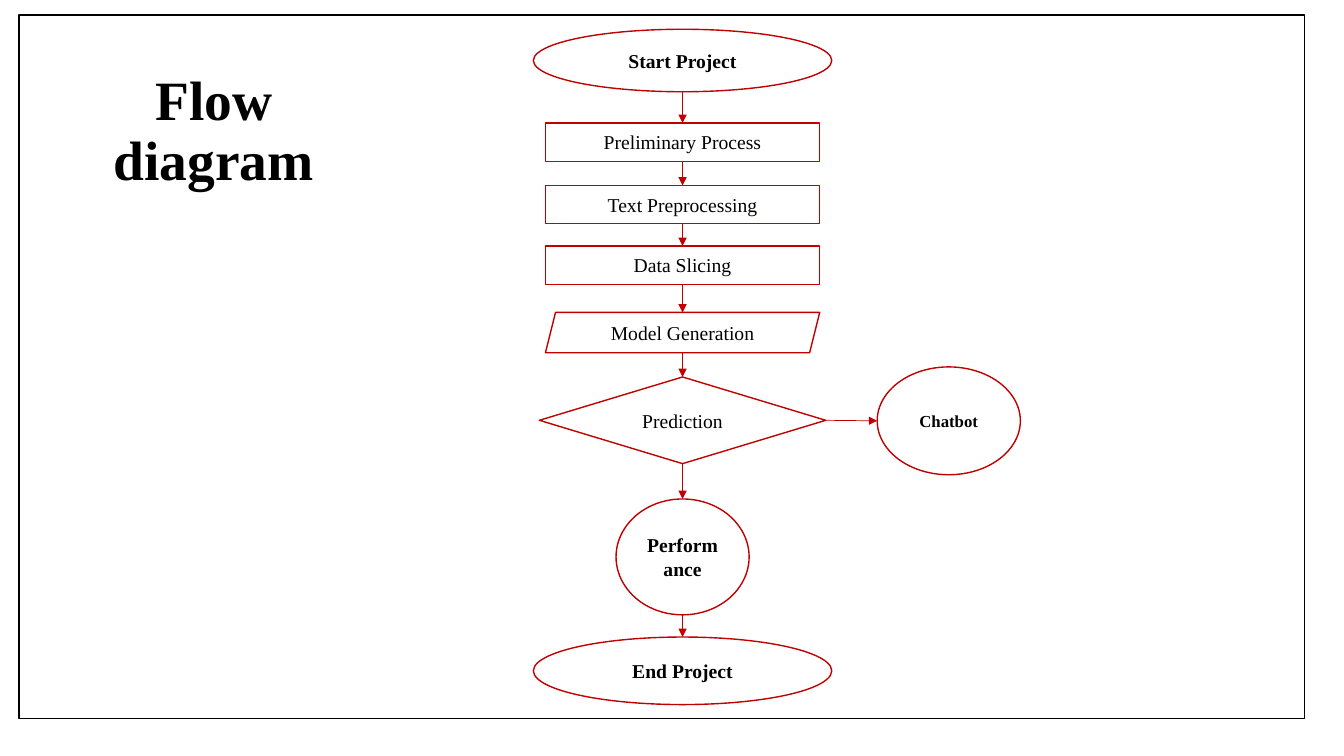
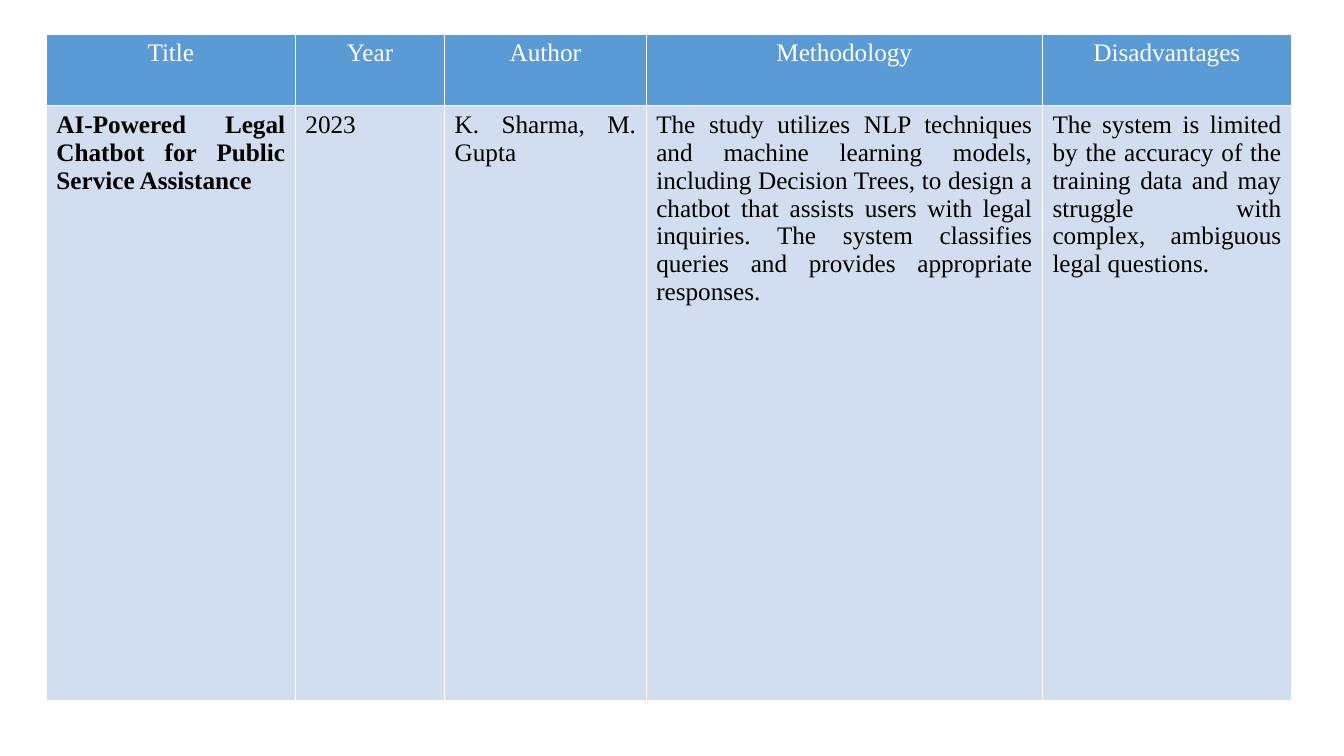
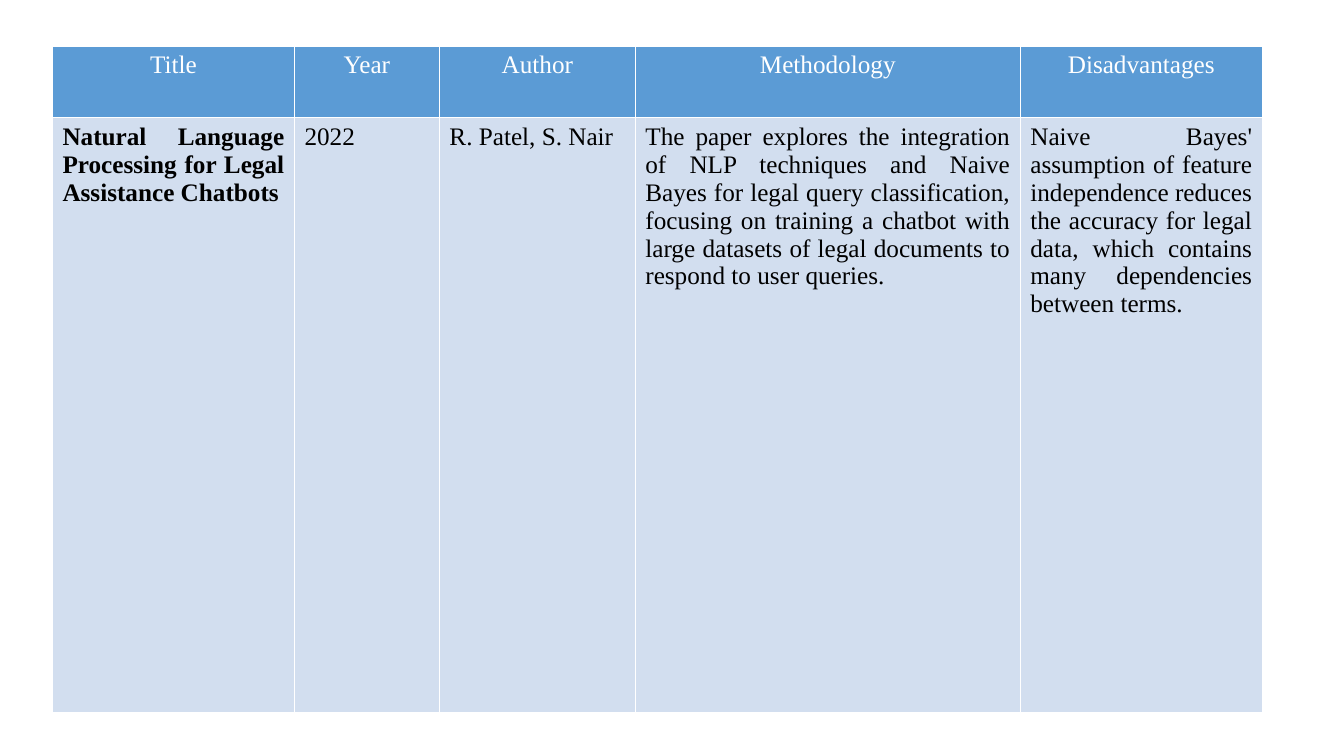
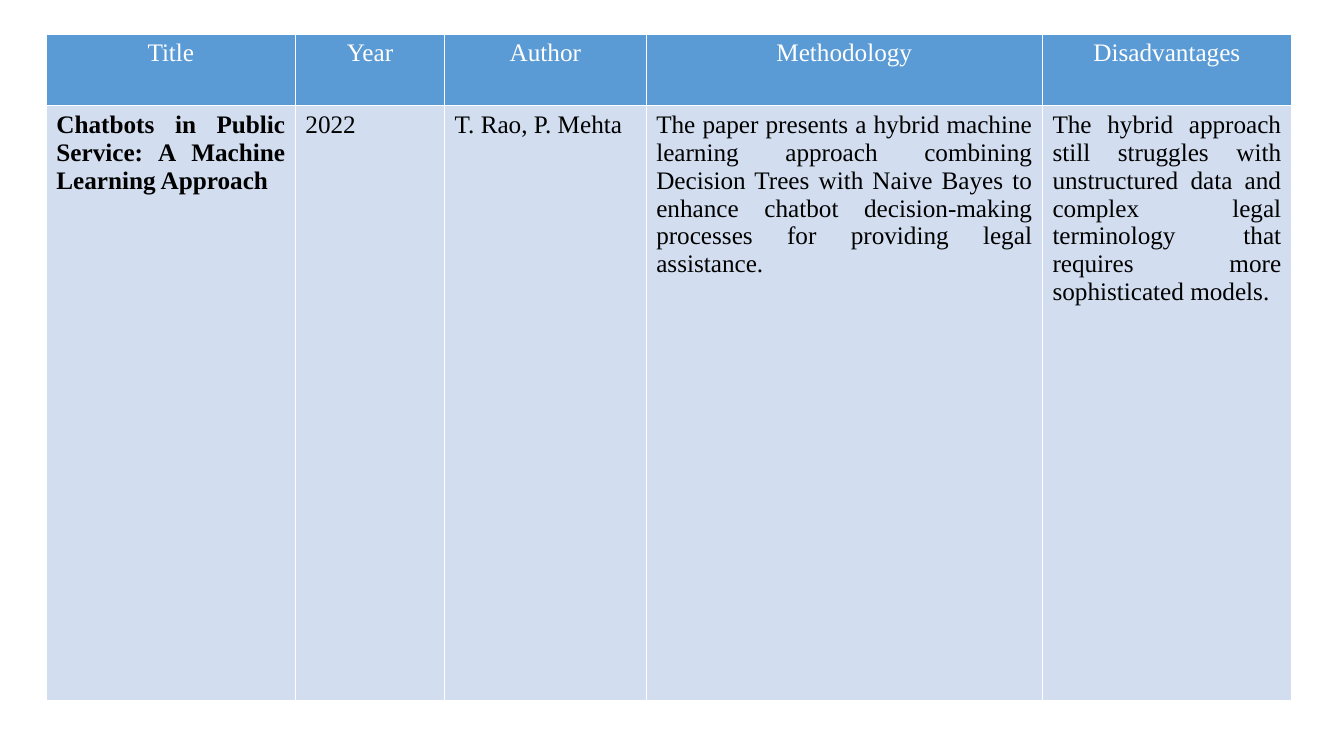
from lxml import etree
from pptx import Presentation
from pptx.dml.color import RGBColor
from pptx.enum.shapes import MSO_CONNECTOR, MSO_SHAPE
from pptx.enum.text import MSO_ANCHOR, PP_ALIGN
from pptx.oxml.ns import qn
from pptx.util import Inches, Pt

RECTANGLE = MSO_SHAPE.RECTANGLE
OVAL = MSO_SHAPE.OVAL
DIAMOND = MSO_SHAPE.DIAMOND
PARALLELOGRAM = MSO_SHAPE.PARALLELOGRAM
STRAIGHT = MSO_CONNECTOR.STRAIGHT
MIDDLE = MSO_ANCHOR.MIDDLE
CENTER, JUSTIFY = PP_ALIGN.CENTER, PP_ALIGN.JUSTIFY
TOP, LEFT, BOTTOM, RIGHT = range(4)

FONT = "Times New Roman"
BLACK, WHITE, RED = "000000", "FFFFFF", "C00000"
HEADER_BLUE, BODY_BLUE = "5B9BD5", "D2DEEF"

# Literature tables: column weights are shared out over each table's width
HEADINGS = ["Title", "Year", "Author", "Methodology", "Disadvantages"]
COLUMN_WEIGHTS = [2.47, 1.48, 2, 3.93, 2.47]
ROW_HEIGHTS = [0.71, 5.9]
PAPERS = [
    ((0.46, 0.34, 12.35), [
        "AI-Powered Legal Chatbot for Public Service Assistance",
        "2023",
        "K. Sharma, M. Gupta",
        "The study utilizes NLP techniques and machine learning models, including "
        "Decision Trees, to design a chatbot that assists users with legal inquiries. "
        "The system classifies queries and provides appropriate responses.",
        "The system is limited by the accuracy of the training data and may struggle "
        "with complex, ambiguous legal questions."]),
    ((0.52, 0.46, 12), [
        "Natural Language Processing for Legal Assistance Chatbots",
        "2022",
        "R. Patel, S. Nair",
        "The paper explores the integration of NLP techniques and Naive Bayes for legal "
        "query classification, focusing on training a chatbot with large datasets of "
        "legal documents to respond to user queries.",
        "Naive Bayes' assumption of feature independence reduces the accuracy for legal "
        "data, which contains many dependencies between terms."]),
    ((0.46, 0.34, 12.35), [
        "Chatbots in Public Service: A Machine Learning Approach",
        "2022",
        "T. Rao, P. Mehta",
        "The paper presents a hybrid machine learning approach combining Decision Trees "
        "with Naive Bayes to enhance chatbot decision-making processes for providing "
        "legal assistance.",
        "The hybrid approach still struggles with unstructured data and complex legal "
        "terminology that requires more sophisticated models."]),
]

# Flow steps: shape, label, top, width, height, bold
FLOW_CENTER = 6.77
FLOW_STEPS = [
    (OVAL, "Start Project", 0.29, 2.96, 0.62, True),
    (RECTANGLE, "Preliminary Process", 1.22, 2.72, 0.38, False),
    (RECTANGLE, "Text Preprocessing", 1.84, 2.72, 0.38, False),
    (RECTANGLE, "Data Slicing", 2.44, 2.72, 0.38, False),
    (PARALLELOGRAM, "Model Generation", 3.1, 2.72, 0.4, False),
    (DIAMOND, "Prediction", 3.74, 2.84, 0.86, False),
    (OVAL, "Performance", 4.95, 1.32, 1.15, True),
    (OVAL, "End Project", 6.32, 2.96, 0.67, True),
]


def color(value):
    return RGBColor.from_string(value)


def side_point(shape, side):
    """Middle of one side of a shape."""
    across = {LEFT: 0, RIGHT: shape.width}.get(side, shape.width // 2)
    down = {TOP: 0, BOTTOM: shape.height}.get(side, shape.height // 2)
    return shape.left + across, shape.top + down


class DeckBuilder:
    def __init__(self):
        self.deck = Presentation()
        self.deck.slide_width = Inches(13.33)
        self.deck.slide_height = Inches(7.5)
        self.page = None

    def new_page(self):
        self.page = self.deck.slides.add_slide(self.deck.slide_layouts[6])

    def set_text(self, frame, text, size, ink=BLACK, bold=False, align=CENTER):
        frame.text = text
        frame.word_wrap = True
        para = frame.paragraphs[0]
        para.alignment = align
        for span in para.runs:
            span.font.name = FONT
            span.font.size = Pt(size)
            span.font.bold = bold
            span.font.color.rgb = color(ink)
        return para

    def title(self, text, left, top, width, height):
        box = self.page.shapes.add_textbox(*map(Inches, (left, top, width, height)))
        box.text_frame.vertical_anchor = MIDDLE
        self.set_text(box.text_frame, text, 39.6, bold=True).line_spacing = 0.9

    def outline(self, kind, left, top, width, height, ink=RED):
        shape = self.page.shapes.add_shape(
            kind, *map(Inches, (left, top, width, height)))
        shape.shadow.inherit = False
        shape.fill.background()
        shape.line.color.rgb = color(ink)
        shape.line.width = Pt(1)
        return shape

    def step(self, kind, text, center, top, width, height, bold, size=14):
        shape = self.outline(kind, center - width / 2, top, width, height)
        shape.text_frame.vertical_anchor = MIDDLE
        self.set_text(shape.text_frame, text, size, bold=bold)
        return shape

    def arrow(self, source, source_side, target, target_side):
        line = self.page.shapes.add_connector(
            STRAIGHT, *side_point(source, source_side), *side_point(target, target_side))
        # Only four-sided shapes number their sides this way
        if source.auto_shape_type in (RECTANGLE, DIAMOND):
            line.begin_connect(source, source_side)
        if target.auto_shape_type in (RECTANGLE, DIAMOND):
            line.end_connect(target, target_side)
        line.line.color.rgb = color(RED)
        line.line.width = Pt(0.5)
        properties = line._element.spPr
        etree.SubElement(properties.get_or_add_ln(), qn("a:tailEnd"), type="triangle")
        etree.SubElement(properties, qn("a:effectLst"))

    def fill_cell(self, cell, text, fill, **style):
        cell.fill.solid()
        cell.fill.fore_color.rgb = color(fill)
        self.set_text(cell.text_frame, text, 18, **style)

    def cell_borders(self, cell):
        properties = cell._tc.get_or_add_tcPr()
        for position, side in enumerate(("a:lnL", "a:lnR", "a:lnT", "a:lnB")):
            border = etree.Element(qn(side), w=str(Pt(1)))
            solid = etree.SubElement(border, qn("a:solidFill"))
            etree.SubElement(solid, qn("a:srgbClr"), val=WHITE)
            properties.insert(position, border)

    def paper_table(self, left, top, width, values):
        table = self.page.shapes.add_table(
            len(ROW_HEIGHTS), len(HEADINGS),
            *map(Inches, (left, top, width, sum(ROW_HEIGHTS)))).table
        for row, height in zip(table.rows, ROW_HEIGHTS):
            row.height = Inches(height)
        for index, weight in enumerate(COLUMN_WEIGHTS):
            table.columns[index].width = Inches(width * weight / sum(COLUMN_WEIGHTS))
            self.fill_cell(table.cell(0, index), HEADINGS[index], HEADER_BLUE, ink=WHITE)
            body = table.cell(1, index)
            self.fill_cell(body, values[index], BODY_BLUE, bold=index == 0, align=JUSTIFY)
            self.cell_borders(body)


def main():
    builder = DeckBuilder()

    # Flow diagram
    builder.new_page()
    builder.outline(RECTANGLE, 0.19, 0.15, 12.75, 6.98, BLACK)
    builder.title("Flow diagram", 0.57, 0.79, 3.1, 1.05)
    steps = {}
    previous = None
    for kind, text, top, width, height, bold in FLOW_STEPS:
        current = builder.step(kind, text, FLOW_CENTER, top, width, height, bold)
        if previous is not None:
            builder.arrow(previous, BOTTOM, current, TOP)
        steps[text] = previous = current
    chatbot = builder.step(OVAL, "Chatbot", 9.41, 3.64, 1.42, 1.07, True, size=12)
    builder.arrow(steps["Prediction"], RIGHT, chatbot, LEFT)

    # One literature table per page
    for place, values in PAPERS:
        builder.new_page()
        builder.paper_table(*place, values)

    builder.deck.save("out.pptx")


if __name__ == "__main__":
    main()
